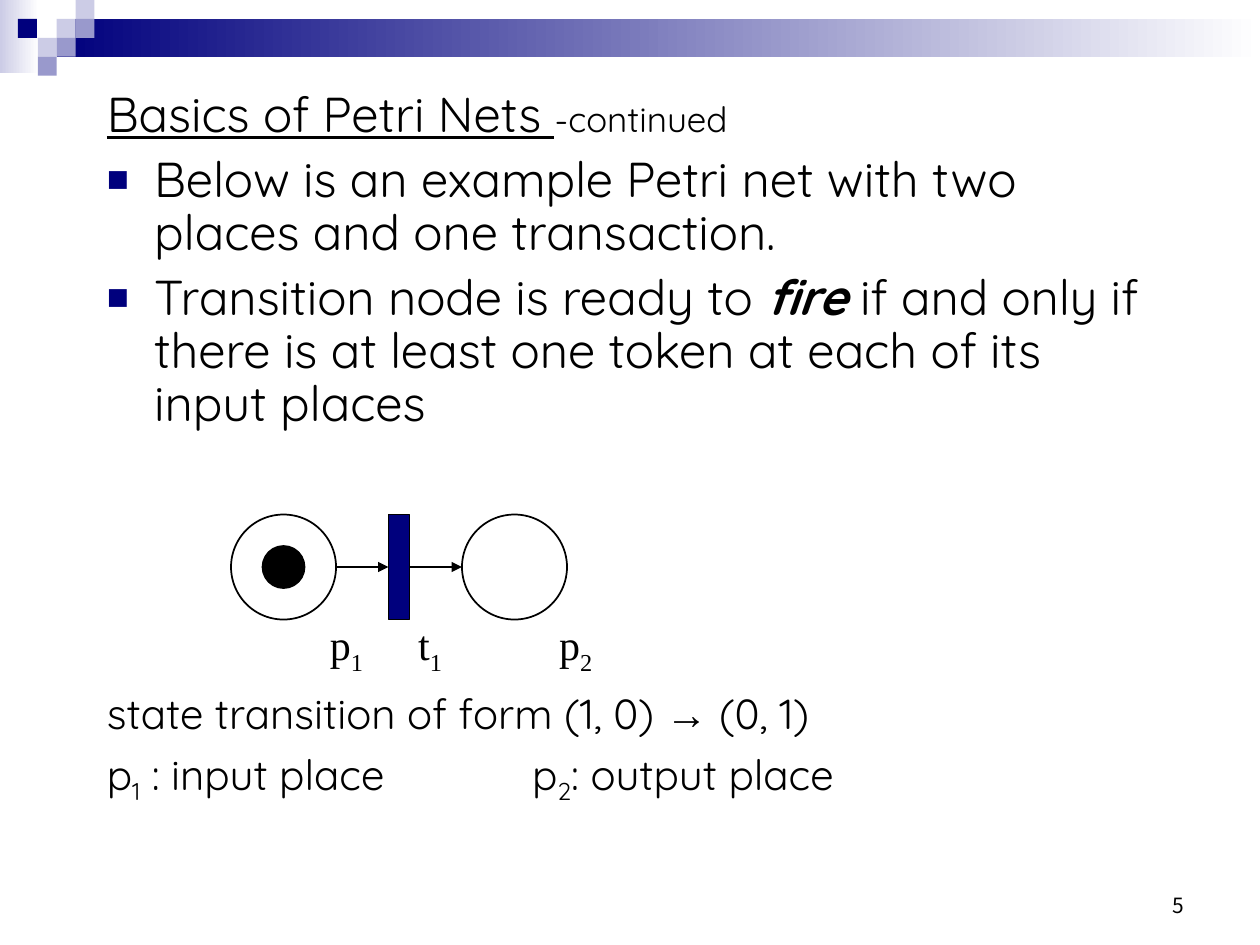
from dataclasses import dataclass

from lxml.etree import SubElement
from pptx import Presentation
from pptx.dml.color import RGBColor
from pptx.enum.shapes import MSO_CONNECTOR, MSO_SHAPE
from pptx.enum.text import MSO_ANCHOR, PP_ALIGN
from pptx.oxml.ns import qn
from pptx.util import Pt


@dataclass(frozen=True)
class Theme:
    navy: str = "00007D"
    mid: str = "9999CC"
    pale: str = "CCCCE6"
    white: str = "FFFFFF"
    black: str = "000000"
    body_font: str = "Quicksand"
    symbol_font: str = "Arial"
    label_font: str = "Times New Roman"
    number_font: str = "Noto Sans CJK KR"
    large: int = 28
    medium: int = 24
    small: int = 20
    tiny: int = 12


theme = Theme()


def add_spans(para, font_name, size, pieces):
    for text, values in pieces:
        span = para.add_run()
        span.text = text
        span.font.color.rgb = RGBColor.from_string(theme.black)
        formats = {"name": font_name, "size": Pt(size)} | values
        if formats.pop("subscript", False):
            span._r.get_or_add_rPr().set("baseline", "-25000")
        for name, value in formats.items():
            setattr(span.font, name, value)


def add_block(kind, left, top, width, height, fill=None, line_width=None):
    shape = page.shapes.add_shape(kind, Pt(left), Pt(top), Pt(width), Pt(height))
    shape.shadow.inherit = False
    if fill:
        shape.fill.solid()
        shape.fill.fore_color.rgb = RGBColor.from_string(fill)
    else:
        shape.fill.background()
    if line_width:
        shape.line.color.rgb = RGBColor.from_string(theme.black)
        shape.line.width = Pt(line_width)
    else:
        shape.line.fill.background()
    return shape


deck = Presentation()
deck.slide_width, deck.slide_height = Pt(720), Pt(540)
page = deck.slides.add_slide(deck.slide_layouts[6])

cell = 10.8
bands = [
    (0, 0, 22.3, 41.8, theme.pale),
    (3 * cell, cell, 720 - 3 * cell, 2 * cell, theme.navy),
]
for left, top, width, height, start in bands:
    band = add_block(MSO_SHAPE.RECTANGLE, left, top, width, height)
    band.fill.gradient()
    band.fill.gradient_angle = 0
    for stop, color in zip(band.fill.gradient_stops, (start, theme.white)):
        stop.color.rgb = RGBColor.from_string(color)

squares = [
    (3, 1, theme.pale),
    (4, 0, theme.pale),
    (4, 1, theme.mid),
    (2, 2, theme.pale),
    (0.95, 1, theme.navy),
    (3, 2, theme.mid),
    (2, 3, theme.mid),
]
for column, row, color in squares:
    add_block(MSO_SHAPE.RECTANGLE, column * cell, row * cell, cell, cell, color)

number_box = page.shapes.add_textbox(Pt(516), Pt(492), Pt(168), Pt(36))
number_box.text_frame.word_wrap = True
number_box.text_frame.vertical_anchor = MSO_ANCHOR.BOTTOM
number = number_box.text_frame.paragraphs[0]
number.alignment = PP_ALIGN.RIGHT
add_spans(number, theme.number_font, theme.tiny, [("5", {})])

subscript = {"subscript": True}
paragraphs = [
    (False, 0, theme.large, [
        ("Basics of Petri Nets ", {"underline": True}),
        ("-continued", {"size": Pt(theme.small)}),
    ]),
    (True, 7, theme.large, [
        ("Below is an example Petri net with two places and one transaction.", {}),
    ]),
    (True, 7, theme.large, [
        ("Transition node is ready to ", {}),
        ("fire", {"bold": True, "italic": True}),
        (" if and only if there is at least one token at each of its input places", {}),
    ]),
    (False, 149, theme.medium, [
        ("state transition of form (1, 0) ", {}),
        ("→", {"name": theme.symbol_font}),
        (" (0, 1)", {}),
    ]),
    (False, 6, theme.medium, [
        ("p", {}), ("1", subscript), (" : input place\tp", {}),
        ("2", subscript), (": output place", {}),
    ]),
]
body = page.shapes.add_textbox(Pt(54), Pt(48), Pt(612), Pt(456)).text_frame
body.word_wrap = True
for index, (bulleted, space, size, pieces) in enumerate(paragraphs):
    para = body.paragraphs[0] if index == 0 else body.add_paragraph()
    properties = para._p.get_or_add_pPr()
    if bulleted:
        properties.set("marL", str(Pt(27)))
        properties.set("indent", str(Pt(-27)))
        bullet_color = SubElement(properties, qn("a:buClr"))
        SubElement(bullet_color, qn("a:srgbClr"), val=theme.navy)
        SubElement(properties, qn("a:buSzPct"), val="75000")
        SubElement(properties, qn("a:buFont"), typeface=theme.symbol_font)
        SubElement(properties, qn("a:buChar"), char="■")
    elif any("\t" in text for text, values in pieces):
        tabs = SubElement(properties, qn("a:tabLst"))
        SubElement(tabs, qn("a:tab"), pos=str(Pt(243)), algn="l")
    for name, value in {"line_spacing": 0.9, "space_before": Pt(space)}.items():
        setattr(para, name, value)
    add_spans(para, theme.body_font, size, pieces)

net_top, diameter = 294, 60
middle = net_top + diameter / 2
input_left, transition_left, output_left = 132, 222, 264
for left in (output_left, input_left):
    add_block(MSO_SHAPE.OVAL, left, net_top, diameter, diameter, line_width=1)
transition = add_block(
    MSO_SHAPE.RECTANGLE, transition_left, net_top, 12, diameter, theme.navy, 0.75
)

arrows = [
    (input_left + diameter, transition_left),
    (transition_left + 12, output_left),
]
for start, end in arrows:
    arrow = page.shapes.add_connector(
        MSO_CONNECTOR.STRAIGHT, Pt(start), Pt(middle), Pt(end), Pt(middle)
    )
    if end == transition_left:
        arrow.end_connect(transition, 1)
    else:
        arrow.begin_connect(transition, 3)
    arrow.line.color.rgb = RGBColor.from_string(theme.black)
    arrow.line.width = Pt(0.75)
    SubElement(arrow.line._get_or_add_ln(), qn("a:tailEnd"), type="triangle")
    SubElement(arrow._element.spPr, qn("a:effectLst"))

token = 24
token_left = input_left + (diameter - token) / 2
add_block(MSO_SHAPE.OVAL, token_left, middle - token / 2, token, token, theme.black, 1)

for letter, digit, left in (("p", "1", 188.5), ("t", "1", 239), ("p", "2", 319.5)):
    label = page.shapes.add_textbox(Pt(left), Pt(353.5), Pt(30), Pt(28)).text_frame
    for side in ("left", "top", "right", "bottom"):
        setattr(label, f"margin_{side}", 0)
    label.word_wrap = True
    add_spans(
        label.paragraphs[0], theme.label_font, theme.medium,
        [(letter, {}), (digit, subscript)],
    )

deck.save("out.pptx")
